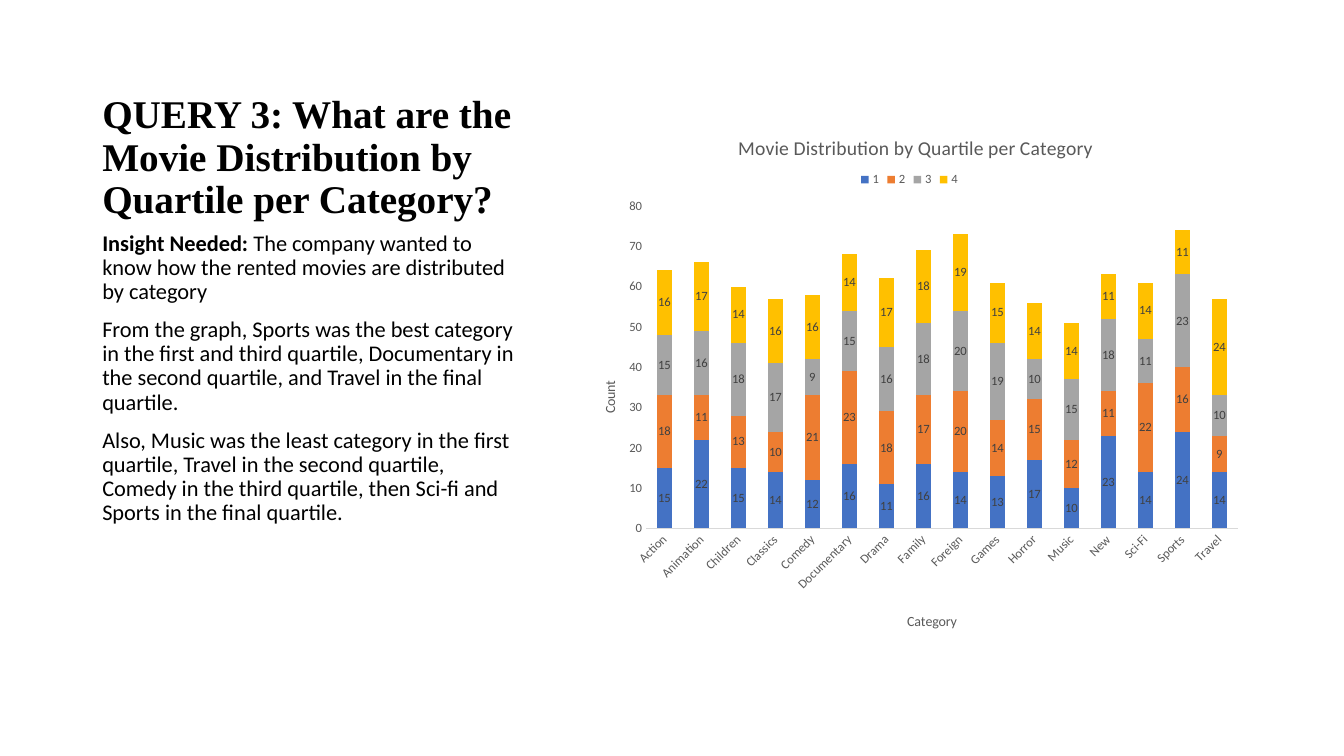
from typing import NamedTuple

from lxml import etree
from pptx import Presentation
from pptx.chart.data import CategoryChartData
from pptx.dml.color import RGBColor
from pptx.enum.chart import (XL_CHART_TYPE, XL_LABEL_POSITION,
                             XL_LEGEND_POSITION, XL_TICK_MARK)
from pptx.enum.text import MSO_ANCHOR
from pptx.oxml.ns import qn
from pptx.util import Pt

STACKED = XL_CHART_TYPE.COLUMN_STACKED
CENTER = XL_LABEL_POSITION.CENTER
TOP = XL_LEGEND_POSITION.TOP
NO_TICK = XL_TICK_MARK.NONE
ANCHOR_TOP, ANCHOR_BOTTOM = MSO_ANCHOR.TOP, MSO_ANCHOR.BOTTOM
BLACK, GRAY, DARK, RULE = "000000", "595959", "404040", "D9D9D9"
BODY_FONT, TITLE_FONT = "Calibri", "Times New Roman"


class Run(NamedTuple):
    text: str
    bold: bool = False


class Quartile(NamedTuple):
    name: str
    color: str
    counts: tuple[int, ...]


TITLE = [[Run("QUERY 3: What are the Movie Distribution by Quartile per Category?", True)]]
BODY = [
    [Run("Insight Needed: ", True),
     Run("The company wanted to know how the rented movies are distributed by category")],
    [Run("From the graph, Sports was the best category in the first and third quartile, "
         "Documentary in the second quartile, and Travel in the final quartile.")],
    [Run("Also, Music was the least category in the first quartile, Travel in the second "
         "quartile, Comedy in the third quartile, then Sci-fi and Sports in the final quartile.")],
]
CATEGORIES = ("Action", "Animation", "Children", "Classics", "Comedy", "Documentary",
              "Drama", "Family", "Foreign", "Games", "Horror", "Music", "New",
              "Sci-Fi", "Sports", "Travel")
QUARTILES = (
    Quartile("1", "4472C4", (15, 22, 15, 14, 12, 16, 11, 16, 14, 13, 17, 10, 23, 14, 24, 14)),
    Quartile("2", "ED7D31", (18, 11, 13, 10, 21, 23, 18, 17, 20, 14, 15, 12, 11, 22, 16, 9)),
    Quartile("3", "A5A5A5", (15, 16, 18, 17, 9, 15, 16, 18, 20, 19, 10, 15, 18, 11, 23, 10)),
    Quartile("4", "FFC000", (16, 17, 14, 16, 16, 14, 17, 18, 19, 15, 14, 14, 11, 14, 11, 24)),
)


def rgb(color: str) -> RGBColor:
    return RGBColor.from_string(color)


def style(font, size: float, color: str, name: str = BODY_FONT) -> None:
    font.size, font.name = Pt(size), name
    font.color.rgb = rgb(color)


def add_text(s, top: float, height: float, paragraphs: list[list[Run]], size: float,
             font: str, anchor, space: float = 0) -> None:
    tf = s.shapes.add_textbox(Pt(66), Pt(top), Pt(310), Pt(height)).text_frame
    tf.word_wrap, tf.vertical_anchor = True, anchor
    for i, runs in enumerate(paragraphs):
        p = tf.add_paragraph() if i else tf.paragraphs[0]
        p.line_spacing, p.space_before = 0.9, Pt(space)
        style(p.font, size, BLACK, font)
        for run in runs:
            r = p.add_run()
            r.text, r.font.bold = run.text, run.bold


def place(element, index: int, inner: bool = False, **fractions: float) -> None:
    """Position a chart part by fractions of the chart's size."""
    for old in element.findall(qn("c:layout")):
        element.remove(old)
    layout = etree.Element(qn("c:layout"))
    manual = etree.SubElement(layout, qn("c:manualLayout"))
    if inner:
        etree.SubElement(manual, qn("c:layoutTarget")).set("val", "inner")
    for key in ("xMode", "yMode"):
        etree.SubElement(manual, qn(f"c:{key}")).set("val", "edge")
    for key, value in fractions.items():
        etree.SubElement(manual, qn(f"c:{key}")).set("val", str(value))
    element.insert(index, layout)


def add_title(owner, text: str, size: float, x: float, y: float) -> None:
    title = owner.chart_title if hasattr(owner, "chart_title") else owner.axis_title
    p = title.text_frame.paragraphs[0]
    p.text, p.font.bold = text, False
    style(p.font, size, GRAY)
    place(title._element, 1, x=x, y=y)


def rotate(element, degrees: int) -> None:
    body = element.find(".//" + qn("a:bodyPr"))
    body.set("rot", str(degrees * 60000))
    body.set("vert", "horz")


prs = Presentation()
prs.slide_width, prs.slide_height = Pt(960), Pt(540)
s = prs.slides.add_slide(prs.slide_layouts[6])

# Question and findings
add_text(s, 36, 126, TITLE, 28, TITLE_FONT, ANCHOR_BOTTOM)
add_text(s, 162, 300, BODY, 16, BODY_FONT, ANCHOR_TOP, 10)

# Stacked column chart
data = CategoryChartData()
data.categories = CATEGORIES
for quartile in QUARTILES:
    data.add_series(quartile.name, quartile.counts)
chart = s.shapes.add_chart(STACKED, Pt(408), Pt(78), Pt(486), Pt(384), data).chart
style(chart.font, 10, BLACK)
add_title(chart, "Movie Distribution by Quartile per Category", 14, 0.24, 0.04)

# Columns and labels
plot = chart.plots[0]
plot.gap_width, plot.overlap, plot.vary_by_categories = 150, 100, False
for series, quartile in zip(plot.series, QUARTILES):
    series.format.fill.solid()
    series.format.fill.fore_color.rgb = rgb(quartile.color)
    labels = series.data_labels
    labels.show_value, labels.position = True, CENTER
    style(labels.font, 9, DARK)

# Axes
cat_axis, val_axis = chart.category_axis, chart.value_axis
for axis in (cat_axis, val_axis):
    axis.major_tick_mark = axis.minor_tick_mark = NO_TICK
    axis.has_major_gridlines = False
    style(axis.tick_labels.font, 9, GRAY)
rotate(cat_axis._element.find(qn("c:txPr")), -45)
cat_axis.format.line.color.rgb = rgb(RULE)
cat_axis.format.line.width = Pt(0.75)
val_axis.format.line.fill.background()
val_axis.minimum_scale, val_axis.maximum_scale, val_axis.major_unit = 0, 80, 10
add_title(cat_axis, "Category", 10, 0.49, 0.93)
add_title(val_axis, "Count", 10, 0.04, 0.5)
rotate(val_axis.axis_title._element, -90)

# Legend and plot area
chart.has_legend = True
legend = chart.legend
legend.position, legend.include_in_layout = TOP, False
style(legend.font, 9, GRAY)
place(legend._element, 1, x=0.42, y=0.11)
place(chart._chartSpace.find(".//" + qn("c:plotArea")), 0, True,
      x=0.11, y=0.18, w=0.87, h=0.6)

prs.save("out.pptx")
